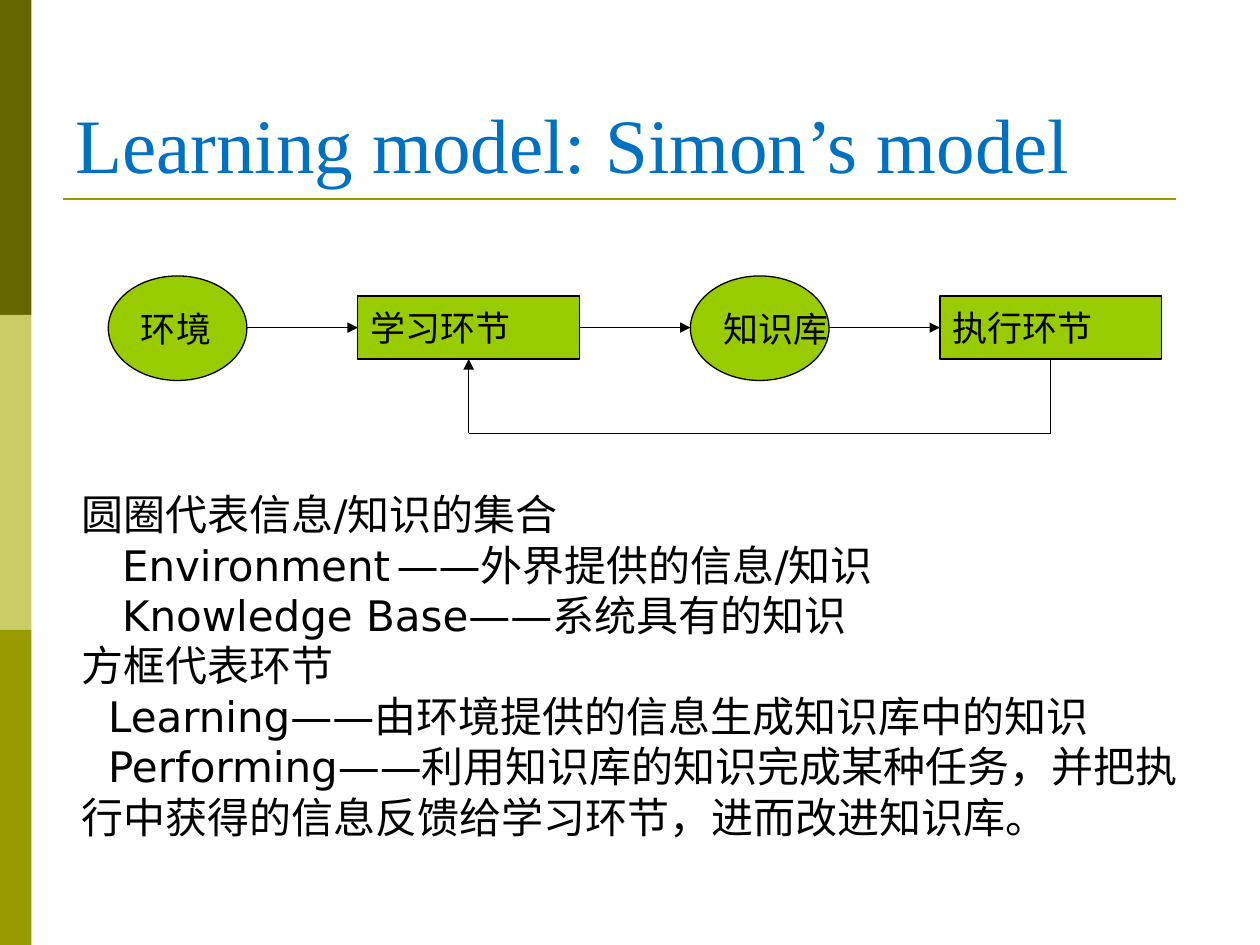
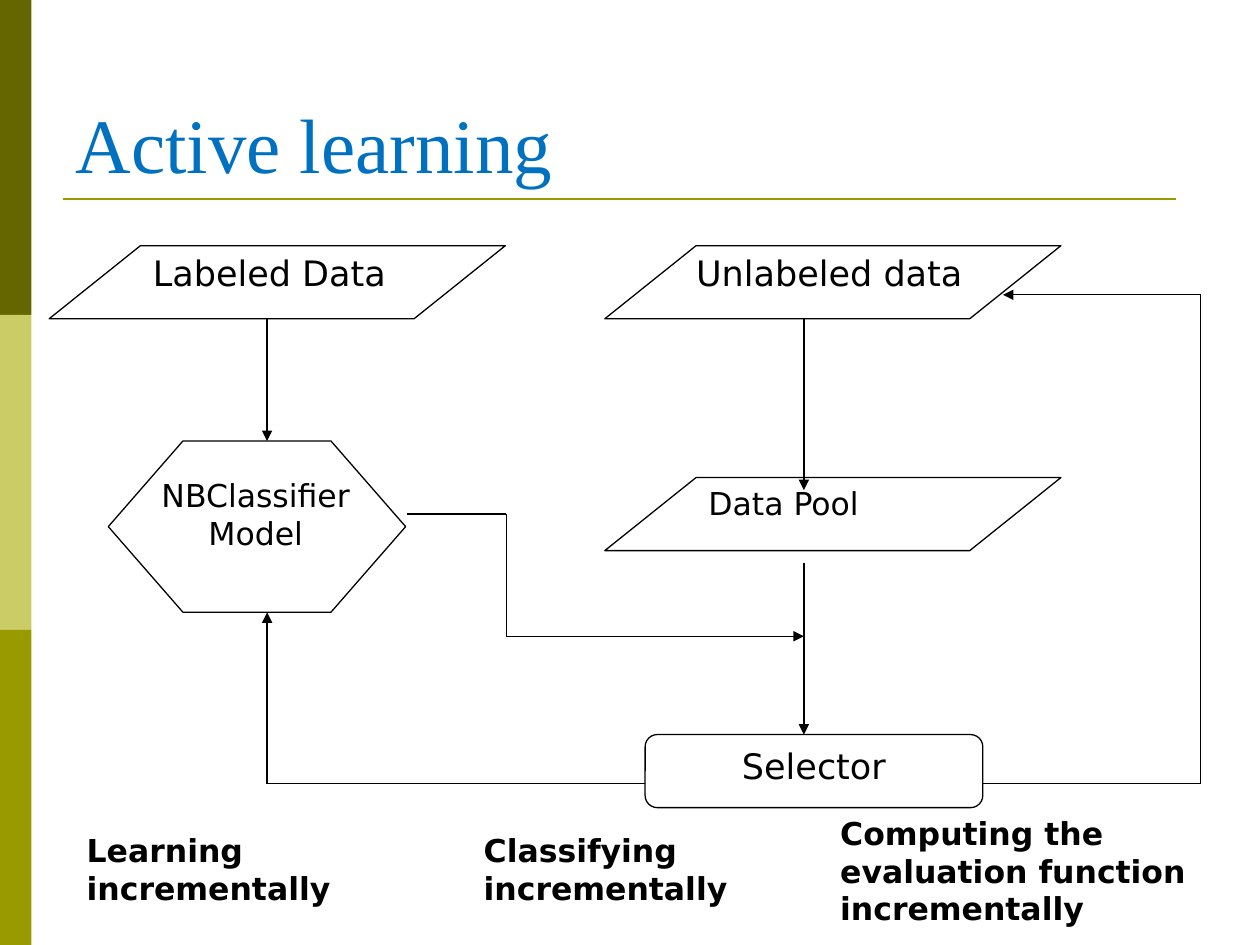
import pptx
import pptx.dml.color
import pptx.enum.shapes
import pptx.enum.text
import pptx.oxml
import pptx.oxml.ns
import pptx.util

PX = 9144
COLORS = {
    "title": "0070C0",
    "ink": "000000",
    "paper": "FFFFFF",
    "node": "99CC00",
    "dark": "666600",
    "light": "CCCC66",
    "olive": "999900",
}
SHAPES = pptx.enum.shapes.MSO_SHAPE
ANCHOR = pptx.enum.text.MSO_ANCHOR
ALIGN = pptx.enum.text.PP_ALIGN


def px(*lengths):
    return [pptx.util.Emu(length * PX) for length in lengths]


def rgb(name):
    return pptx.dml.color.RGBColor.from_string(COLORS[name])


def write(frame, lines, size=20, color="ink", font="DejaVu Sans", bold=False,
          align=ALIGN.LEFT, anchor=ANCHOR.TOP, insets=(10, 10), wrap=True, indents=()):
    frame.auto_size = pptx.enum.text.MSO_AUTO_SIZE.NONE
    frame.word_wrap = wrap
    frame.vertical_anchor = anchor
    frame.margin_left, frame.margin_right = px(*insets)
    frame.margin_top, frame.margin_bottom = px(5, 5)
    frame.text = "\n".join(lines)
    for paragraph in frame.paragraphs:
        paragraph.alignment = align
        paragraph.font.size = pptx.util.Pt(size)
        for run in paragraph.runs:
            run.font.size = pptx.util.Pt(size)
            run.font.name = font
            run.font.bold = bold
            run.font.color.rgb = rgb(color)
    for paragraph, indent in zip(frame.paragraphs, indents):
        properties = paragraph._p.get_or_add_pPr()
        properties.set("marL", "0")
        properties.set("indent", str(indent * PX))


def add_xml(parent, tag, **attributes):
    child = pptx.oxml.parse_xml(f"<a:{tag} {pptx.oxml.ns.nsdecls('a')}/>")
    for name, value in attributes.items():
        child.set(name, value)
    parent.append(child)
    return child


class Deck:
    def __init__(self):
        self.show = pptx.Presentation()
        self.show.slide_width, self.show.slide_height = px(1000, 750)
        self.slide = None

    def start(self, title):
        self.slide = self.show.slides.add_slide(self.show.slide_layouts[5])
        for row, band in enumerate(("dark", "light", "olive")):
            self.node(SHAPES.RECTANGLE, (0, row * 250, 25, 250), fill=band, outline=None)
        self.route((50, 158), (933, 158), color="olive", weight=1.5, arrow=False)
        heading = self.slide.shapes.title
        heading.left, heading.top, heading.width, heading.height = px(50, 30, 900, 125)
        write(heading.text_frame, [title], size=44, color="title",
              font="Times New Roman", anchor=ANCHOR.BOTTOM)

    def node(self, kind, box, lines=(), fill="paper", outline="ink", **style):
        shape = self.slide.shapes.add_shape(kind, *px(*box))
        shape.shadow.inherit = False
        shape.fill.solid()
        shape.fill.fore_color.rgb = rgb(fill)
        if outline:
            shape.line.color.rgb = rgb(outline)
            shape.line.width = pptx.util.Pt(0.75)
        else:
            shape.line.fill.background()
        if lines:
            write(shape.text_frame, lines, **style)
        return shape

    def route(self, *stops, color="ink", weight=0.75, arrow=True):
        for begin, end in zip(stops, stops[1:]):
            line = self.slide.shapes.add_connector(
                pptx.enum.shapes.MSO_CONNECTOR.STRAIGHT, *px(*begin, *end))
            line.line.color.rgb = rgb(color)
            line.line.width = pptx.util.Pt(weight)
            if arrow and end == stops[-1]:
                add_xml(line.line._get_or_add_ln(), "tailEnd", type="triangle")
            add_xml(line._element.spPr, "effectLst")

    def note(self, box, lines, **style):
        caption = self.slide.shapes.add_textbox(*px(*box))
        write(caption.text_frame, lines, **style)
        return caption


def simon_model(deck):
    deck.start("Learning model: Simon’s model")
    circle, square = (SHAPES.FLOWCHART_CONNECTOR, 110, 83), (SHAPES.RECTANGLE, 176, 50)
    stages = [("环境", circle), ("学习环节", square), ("知识库", circle), ("执行环节", square)]
    left, middle, gap = 86, 260, 88
    for name, (kind, width, height) in stages:
        if left > 86:
            deck.route((left - gap, middle), (left, middle))
        deck.node(kind, (left, middle - height // 2, width, height), [name],
                  fill="node", anchor=ANCHOR.MIDDLE, wrap=False)
        left += width + gap
    deck.route((834, 285), (834, 344), (372, 344), (372, 285))

    legend = deck.note((55, 383, 898, 290), [
        "圆圈代表信息/知识的集合",
        "Environment\t——外界提供的信息/知识",
        "Knowledge Base——系统具有的知识",
        "方框代表环节",
        "Learning——由环境提供的信息生成知识库中的知识",
        "Performing——利用知识库的知识完成某种任务，并把执行中获得的信息反馈给学习环节，进而改进知识库。",
    ], size=24, indents=(0, 32, 32, 0, 21, 21))
    environment = legend.text_frame.paragraphs[1]._p.get_or_add_pPr()
    add_xml(add_xml(environment, "tabLst"), "tab", pos=str(266 * PX), algn="l")


def active_learning(deck):
    deck.start("Active learning")
    for name, left, top, size, inset in (
            ("Labeled Data", 39, 195, 20, 10),
            ("Unlabeled data", 480, 195, 20, 0),
            ("Data Pool", 480, 379, 18, 10)):
        deck.node(SHAPES.FLOWCHART_DATA, (left, top, 362, 58), [name], size=size,
                  align=ALIGN.JUSTIFY, insets=(inset, inset))
    classifier = deck.node(SHAPES.HEXAGON, (86, 350, 236, 136), ["NBClassifier", "Model"],
                           size=18, align=ALIGN.CENTER, insets=(0, 2))
    classifier.adjustments[0] = 0.436
    deck.node(SHAPES.ROUNDED_RECTANGLE, (512, 583, 268, 58), ["Selector"], align=ALIGN.CENTER)

    deck.route((212, 253), (212, 350))
    deck.route((638, 253), (638, 389))
    deck.route((638, 447), (638, 583))
    deck.route((512, 622), (212, 622), (212, 486))
    deck.route((780, 622), (953, 622), (953, 234), (796, 234))
    deck.route((323, 408), (402, 408), (402, 505), (638, 505))

    for step, box in (
            ("Learning incrementally", (59, 655, 244, 70)),
            ("Classifying incrementally", (374, 655, 228, 70)),
            ("Computing the evaluation function incrementally", (657, 641, 323, 100))):
        deck.note(box, [step], size=18, bold=True)


def main():
    deck = Deck()
    simon_model(deck)
    active_learning(deck)
    deck.show.save("out.pptx")


if __name__ == "__main__":
    main()
